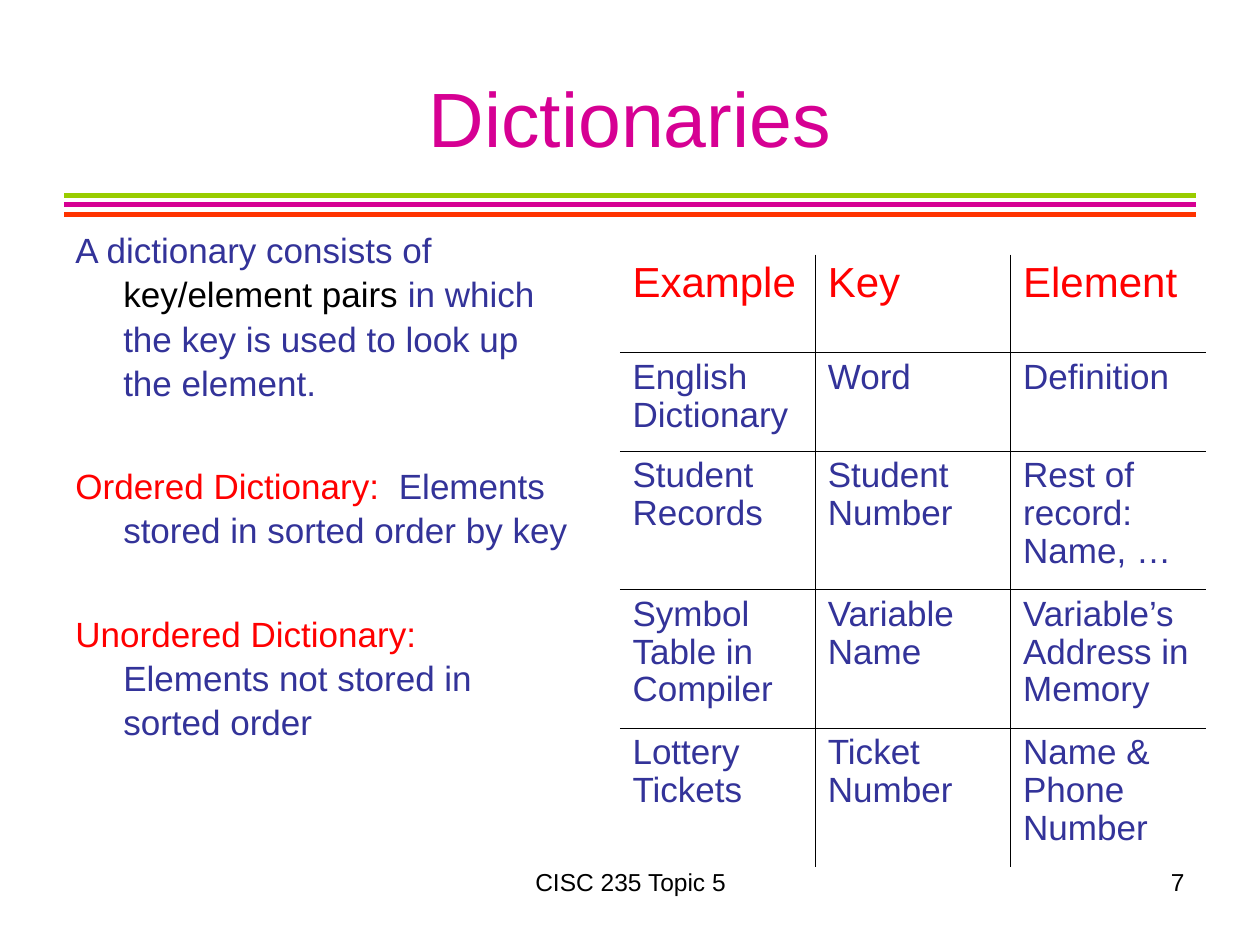
from dataclasses import dataclass

from lxml import etree
from pptx import Presentation
from pptx import util as u
from pptx.dml.color import RGBColor
from pptx.enum import shapes, text
from pptx.oxml.ns import qn


@dataclass(frozen=True)
class Theme:
    font: str = "Arial"
    pink: str = "D60093"
    green: str = "99CC00"
    orange: str = "FF3300"
    blue: str = "333399"
    red: str = "FF0000"
    black: str = "000000"
    title: int = 44
    head: int = 24
    body: int = 20
    foot: int = 14
    rule: float = 3
    grid: float = 0.45


T = Theme()
ALIGN = text.PP_ALIGN
BODY = [
    [("A dictionary consists of ", T.blue), ("key/element pairs", T.black),
     (" in which the key is used to look up the element.", T.blue)],
    [("Ordered Dictionary:", T.red),
     ("  Elements stored in sorted order by key", T.blue)],
    [("Unordered Dictionary:", T.red),
     (" Elements not stored in sorted order", T.blue)],
]
ROWS = [
    ("Example", "Key", "Element"),
    ("English Dictionary", "Word", "Definition"),
    ("Student Records", "Student Number", "Rest of record:  Name, …"),
    ("Symbol Table in Compiler", "Variable Name",
     "Variable’s Address in Memory"),
    ("Lottery Tickets", "Ticket Number", "Name & Phone Number"),
]
HEIGHTS = (0.78, 0.78, 1.1, 1.1, 1.1)


def add_run(para, words, size, color):
    run = para.add_run()
    run.text = words
    run.font.name = T.font
    run.font.size = u.Pt(size)
    run.font.color.rgb = RGBColor.from_string(color)


def add_frame(slide, box):
    frame = slide.shapes.add_textbox(*map(u.Inches, box)).text_frame
    frame.word_wrap = True
    return frame


def add_label(slide, box, words, size, color, align, anchor):
    frame = add_frame(slide, box)
    frame.vertical_anchor = anchor
    para = frame.paragraphs[0]
    para.alignment = align
    add_run(para, words, size, color)


def add_rules(slide, box):
    """Three evenly spaced stripes under the title."""
    left, top, width, height = box
    for i, color in enumerate((T.green, T.pink, T.orange)):
        y = u.Inches(top + i * height / 2)
        line = slide.shapes.add_connector(
            shapes.MSO_CONNECTOR.STRAIGHT,
            u.Inches(left), y, u.Inches(left + width), y)
        line.line.color.rgb = RGBColor.from_string(color)
        line.line.width = u.Pt(T.rule)
        etree.SubElement(line._element.spPr, qn("a:effectLst"))


def add_body(slide, box):
    """Definitions with hanging indents."""
    frame = add_frame(slide, box)
    for i, parts in enumerate(BODY):
        para = frame.add_paragraph() if i else frame.paragraphs[0]
        para.space_before = u.Pt(34 if i else 5)
        para.line_spacing = 1.05
        props = para._p.get_or_add_pPr()
        props.set("marL", str(u.Inches(0.38)))
        props.set("indent", str(u.Inches(-0.38)))
        for words, color in parts:
            add_run(para, words, T.body, color)


def set_edges(cell, shown):
    """Draw the shown cell sides; clear the others."""
    props = cell._tc.get_or_add_tcPr()
    for i, side in enumerate("LRTB"):
        edge = etree.Element(qn("a:ln" + side), w=str(u.Pt(T.grid)))
        if side in shown:
            fill = etree.SubElement(edge, qn("a:solidFill"))
            etree.SubElement(fill, qn("a:srgbClr"), val=T.black)
        else:
            etree.SubElement(edge, qn("a:noFill"))
        props.insert(i, edge)


def add_grid(slide, box):
    """Examples table with inner lines only."""
    count, wide = len(ROWS), len(ROWS[0])
    table = slide.shapes.add_table(count, wide, *map(u.Inches, box)).table
    table.first_row = table.horz_banding = False
    for col in table.columns:
        col.width = u.Inches(box[2] / wide)
    for r, (row, high) in enumerate(zip(ROWS, HEIGHTS)):
        table.rows[r].height = u.Inches(high)
        size, color = (T.body, T.blue) if r else (T.head, T.red)
        for c, words in enumerate(row):
            cell = table.cell(r, c)
            cell.fill.background()
            para = cell.text_frame.paragraphs[0]
            para.space_before = u.Pt(5 if r else 6)
            para.line_spacing = 0.97
            add_run(para, words, size, color)
            inner = {"L": c > 0, "R": c < wide - 1,
                     "T": r > 0, "B": r < count - 1}
            set_edges(cell, [side for side in inner if inner[side]])


def main():
    deck = Presentation()
    deck.slide_width, deck.slide_height = u.Inches(10), u.Inches(7.5)
    slide = deck.slides.add_slide(deck.slide_layouts[6])
    top, middle = text.MSO_ANCHOR.TOP, text.MSO_ANCHOR.MIDDLE
    add_rules(slide, (0.51, 1.55, 8.98, 0.15))
    # Footer and page number
    add_label(slide, (3.42, 6.83, 3.17, 0.52), "CISC 235 Topic 5",
              T.foot, T.black, ALIGN.CENTER, top)
    add_label(slide, (7.17, 6.83, 2.33, 0.52), "7",
              T.foot, T.black, ALIGN.RIGHT, top)
    # Title and content
    add_label(slide, (0.5, 0.3, 9, 1.25), "Dictionaries",
              T.title, T.pink, ALIGN.CENTER, middle)
    add_body(slide, (0.5, 1.75, 4.11, 4.95))
    add_grid(slide, (4.92, 2.02, 4.65, sum(HEIGHTS)))
    deck.save("out.pptx")


if __name__ == "__main__":
    main()
